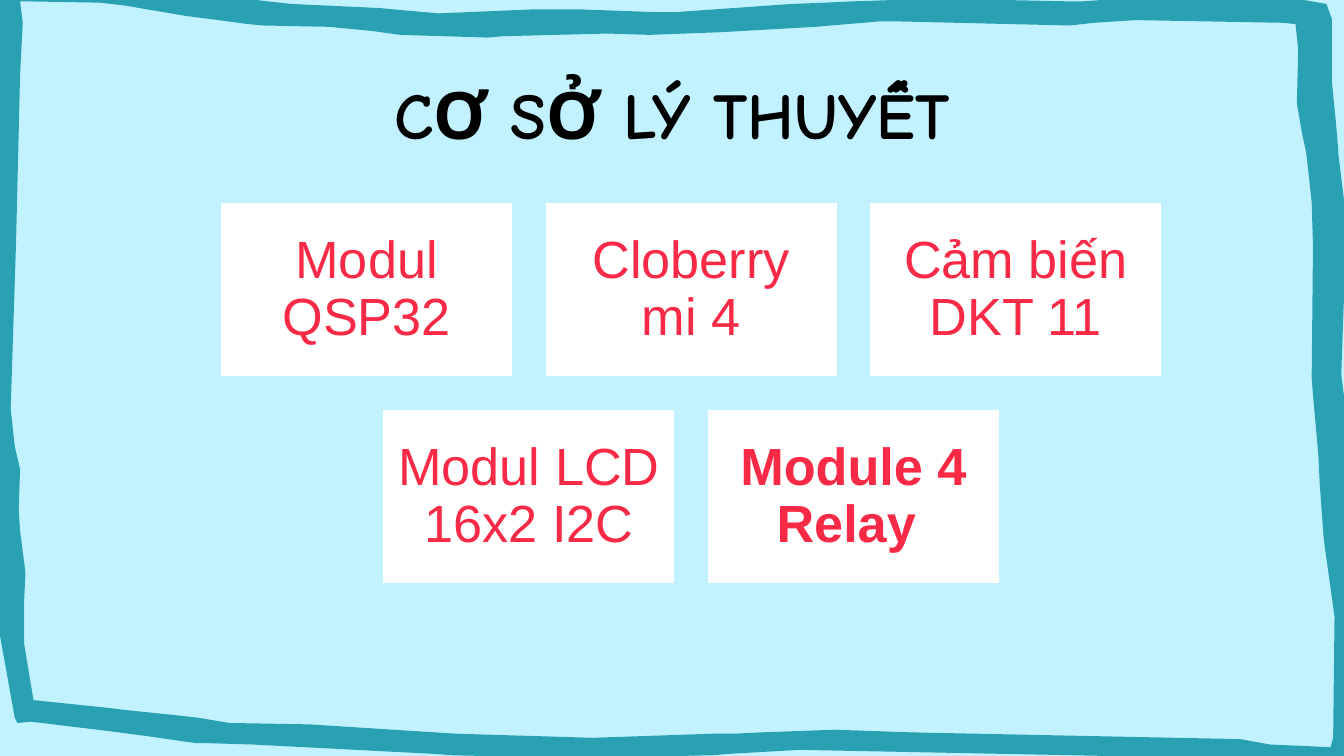
from pptx import Presentation
from pptx import util as u
from pptx.dml.color import RGBColor
from pptx.enum import shapes, text

PX = 4572  # 200 px to the inch
FRAME_GRID = 2  # px to one unit of the frame outline
SKY, TEAL, WHITE, BLACK, RED = "C2F2FF", "2AA1B3", "FFFFFF", "000000", "F82A45"

# Hand-drawn frame, as grid units from the page corner
OUTER_EDGE = [
    (13, 538), (11, 534), (-1, 467), (-2, 421), (-4, 405), (-9, 369),
    (-15, 325), (-17, 311), (-14, 149), (-12, 31), (-9, 16), (-5, -12),
    (-4, -13), (22, -19), (55, -15), (145, -5), (217, 3), (282, 6),
    (326, 10), (397, 7), (431, 7), (487, 9), (503, 9), (589, 3),
    (614, 2), (636, 1), (698, -1), (792, 1), (806, 1), (850, -2),
    (968, 0), (970, 0), (987, 3), (991, 14), (991, 60), (995, 101),
    (996, 116), (1000, 148), (1002, 165), (998, 279), (1000, 294),
    (1004, 321), (1002, 375), (1004, 386), (1008, 423), (1009, 433),
    (1013, 502), (1012, 551), (1006, 564), (986, 569), (931, 565),
    (899, 564), (747, 561), (595, 558), (577, 559), (542, 561),
    (531, 562), (428, 564), (336, 562), (323, 561), (188, 554),
    (154, 553), (146, 553), (111, 548), (81, 544), (23, 537),
]
INNER_EDGE = [
    (25, 521), (83, 527), (90, 528), (129, 532), (147, 534), (171, 538),
    (230, 539), (324, 545), (340, 546), (441, 549), (530, 546),
    (546, 546), (566, 545), (621, 543), (679, 545), (923, 550),
    (945, 554), (990, 556), (992, 549), (993, 459), (985, 401),
    (982, 360), (981, 339), (977, 294), (976, 281), (977, 183),
    (976, 150), (972, 114), (969, 100), (965, 77), (966, 37), (964, 18),
    (955, 17), (845, 15), (814, 17), (796, 19), (669, 16), (654, 16),
    (607, 20), (536, 24), (483, 26), (452, 25), (374, 27), (363, 28),
    (298, 26), (276, 23), (245, 20), (196, 19), (185, 18), (155, 14),
    (139, 12), (92, 4), (74, 2), (15, 1), (17, 17), (15, 56),
    (12, 181), (8, 304), (11, 332), (15, 349), (14, 379), (15, 395),
    (19, 426), (18, 447), (18, 479),
]

CARD_ROWS = [
    [("Modul QSP32", False), ("Cloberry mi 4", False), ("Cảm biến DKT 11", False)],
    [("Modul LCD 16x2 I2C", False), ("Module 4 Relay ", True)],
]


def px(length):
    return u.Emu(round(length * PX))


def colour(value):
    return RGBColor.from_string(value)


def write(shape, words, font, size, ink, bold, inset):
    frame = shape.text_frame
    frame.word_wrap = True
    frame.vertical_anchor = text.MSO_ANCHOR.MIDDLE
    frame.margin_left = frame.margin_right = px(inset)
    frame.margin_top = frame.margin_bottom = px(inset)
    para = frame.paragraphs[0]
    para.text = words
    para.alignment = text.PP_ALIGN.CENTER
    para.font.name = font
    para.font.size = u.Pt(size)
    para.font.bold = bold
    para.font.color.rgb = colour(ink)
    return para


def add_frame(page, left, top):
    """Closed band between the outer and inner edges."""
    builder = page.shapes.build_freeform(*OUTER_EDGE[0], scale=FRAME_GRID * PX)
    builder.add_line_segments(OUTER_EDGE[1:], close=True)
    builder.move_to(*INNER_EDGE[0])
    builder.add_line_segments(INNER_EDGE[1:], close=True)
    band = builder.convert_to_shape(px(left), px(top))
    band.shadow.inherit = False
    band.fill.solid()
    band.fill.fore_color.rgb = colour(TEAL)
    band.line.fill.background()


def add_title(page, left, top, width, height):
    box = page.shapes.add_textbox(px(left), px(top), px(width), px(height))
    write(box, "CƠ SỞ LÝ THUYẾT", "Comic Neue", 35, BLACK, True, 20)


def add_card(page, left, top, width, height, words, bold):
    card = page.shapes.add_shape(
        shapes.MSO_SHAPE.RECTANGLE, px(left), px(top), px(width), px(height))
    card.shadow.inherit = False
    card.fill.solid()
    card.fill.fore_color.rgb = colour(WHITE)
    card.line.color.rgb = colour(SKY)
    card.line.width = u.Pt(2)
    para = write(card, words, "Arial", 28, RED, bold, 24)
    para.line_spacing = 0.9


def add_cards(page, left, top, width, height):
    """Rows of equal cards, each row centred in the box."""
    card_width, card_height = 439, 263
    columns = max(len(row) for row in CARD_ROWS)
    step_x = (width - card_width) / (columns - 1)
    step_y = (height - card_height) / (len(CARD_ROWS) - 1)
    for row_index, row in enumerate(CARD_ROWS):
        row_left = left + (columns - len(row)) * step_x / 2
        for column, (words, bold) in enumerate(row):
            add_card(page, row_left + column * step_x, top + row_index * step_y,
                     card_width, card_height, words, bold)


def main():
    deck = Presentation()
    deck.slide_width, deck.slide_height = px(2000), px(1125)
    page = deck.slides.add_slide(deck.slide_layouts[6])
    page.background.fill.solid()
    page.background.fill.fore_color.rgb = colour(SKY)

    add_frame(page, 0, 0)
    add_title(page, 429, 106, 1142, 126)
    add_cards(page, 326, 300, 1405, 571)
    deck.save("out.pptx")


if __name__ == "__main__":
    main()
